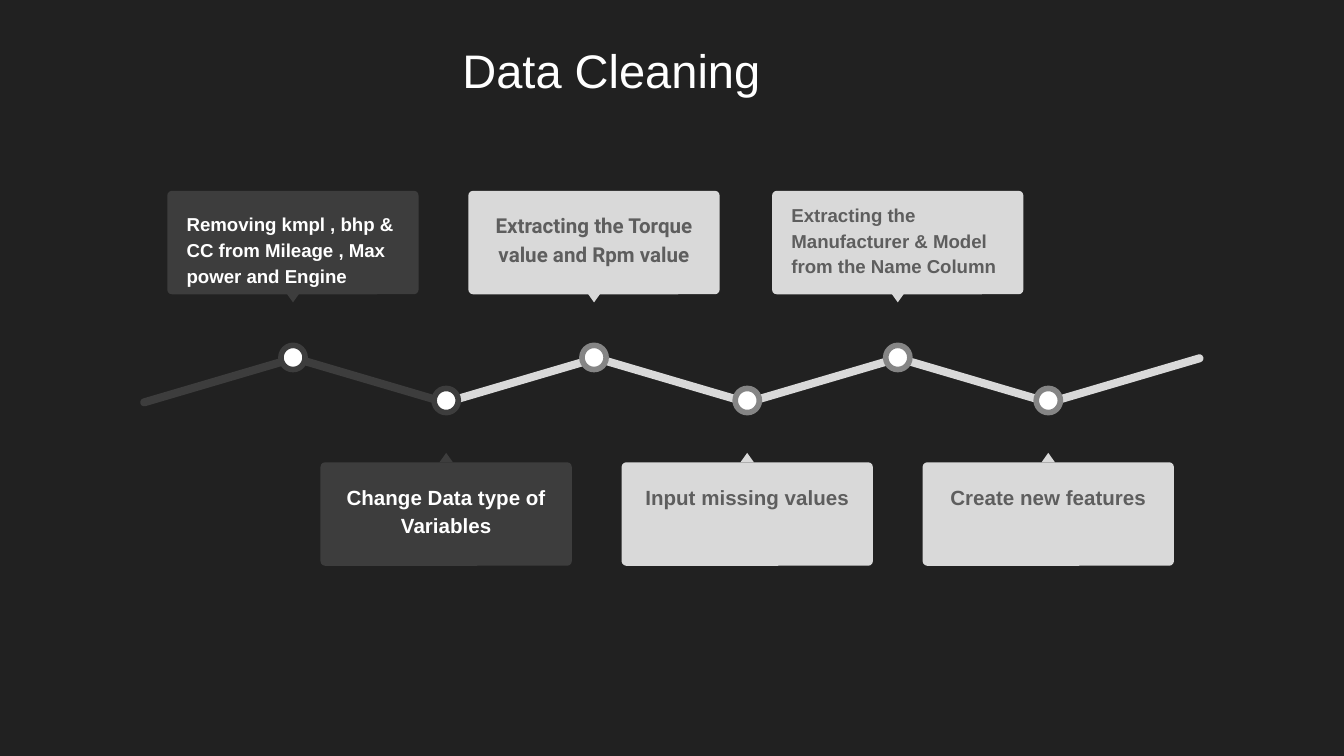
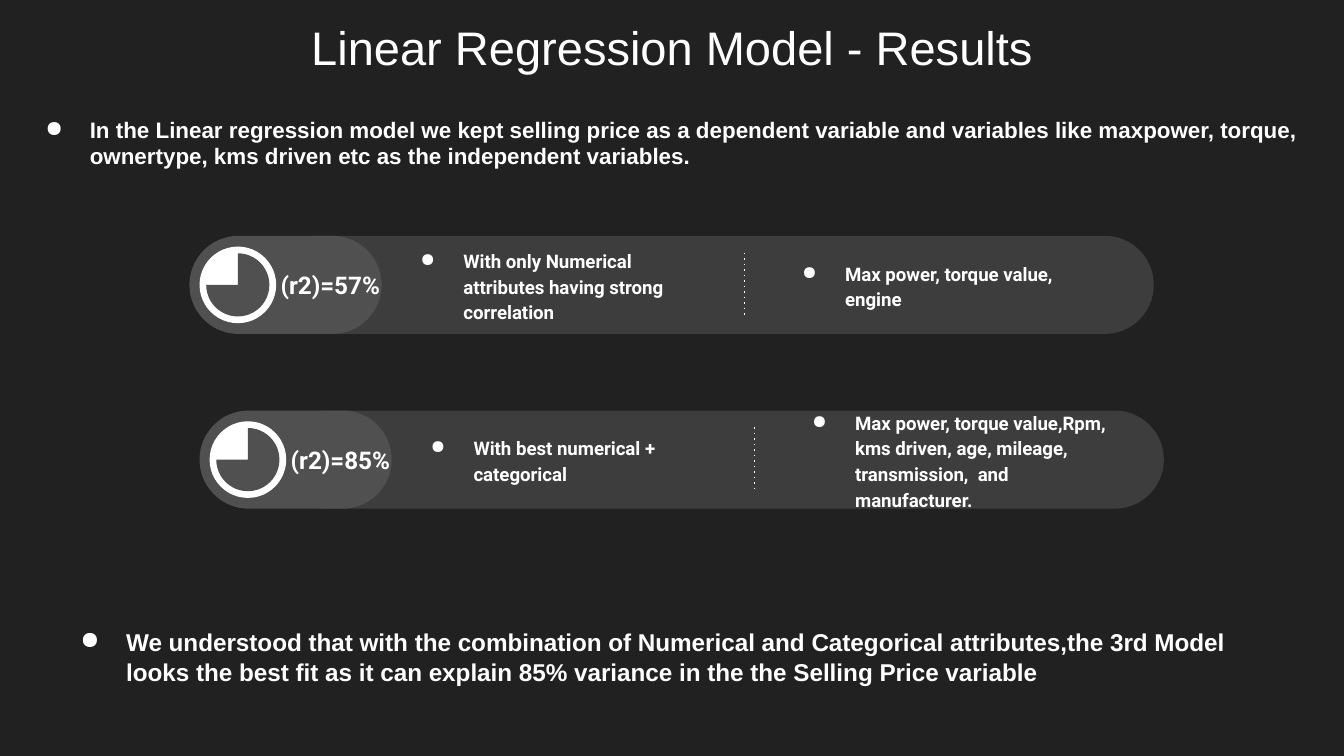
from dataclasses import dataclass
from typing import Optional

import lxml.etree
import pptx
import pptx.dml.color
import pptx.enum.dml
import pptx.enum.shapes
import pptx.enum.text
import pptx.oxml.ns
import pptx.shapes.autoshape
import pptx.shapes.shapetree
import pptx.slide
import pptx.text.text
import pptx.util

SHAPE = pptx.enum.shapes.MSO_SHAPE
ALIGN = pptx.enum.text.PP_ALIGN
ANCHOR = pptx.enum.text.MSO_ANCHOR

# The slide is a grid of square cells, ten to the inch.
COLUMNS, ROWS = 100, 56.25


@dataclass(frozen=True)
class Theme:
    background: str = "212121"
    white: str = "FFFFFF"
    dark: str = "3D3D3D"
    badge: str = "505050"
    light: str = "D9D9D9"
    ring: str = "858585"
    muted: str = "5E5E5E"
    sans: str = "Arial"
    roboto: str = "Roboto"
    title_size: float = 25.2
    score_size: float = 13
    intro_size: float = 12
    card_size: float = 11
    small_size: float = 10


THEME = Theme()


@dataclass(frozen=True)
class Box:
    left: float
    top: float
    width: float
    height: float

    def lengths(self) -> tuple:
        return tuple(cells(n) for n in (self.left, self.top, self.width, self.height))


@dataclass(frozen=True)
class TextStyle:
    size: float
    font: str = THEME.sans
    color: str = THEME.white
    bold: bool = True
    align: pptx.enum.text.PP_ALIGN = ALIGN.LEFT
    anchor: pptx.enum.text.MSO_ANCHOR = ANCHOR.TOP
    spacing: Optional[float] = None
    margin: float = 0
    indent: float = 0
    bullet: bool = False


@dataclass(frozen=True)
class Milestone:
    center: float
    text: str
    upper: bool
    done: bool
    size: float = THEME.card_size
    font: str = THEME.sans
    align: pptx.enum.text.PP_ALIGN = ALIGN.CENTER
    lift: float = 0


@dataclass(frozen=True)
class Result:
    left: float
    axis: float
    score: str
    method: str
    features: str


MILESTONES = [
    Milestone(33.2, "Change Data type of Variables", False, True),
    Milestone(55.6, "Input missing values", False, False),
    Milestone(21.8, "Removing kmpl , bhp & CC from Mileage , Max power and Engine",
              True, True, THEME.small_size, align=ALIGN.LEFT),
    Milestone(44.2, "Extracting the Torque value and Rpm value", True, False,
              font=THEME.roboto),
    Milestone(78, "Create new features", False, False),
    Milestone(66.8, "Extracting the Manufacturer & Model from the Name Column",
              True, False, THEME.small_size, align=ALIGN.LEFT, lift=0.7),
]

RESULTS = [
    Result(14.85, 34.2, "(r2)=85%", "With best numerical + categorical",
           "Max power, torque value,Rpm, kms driven, age, mileage, transmission,  and manufacturer."),
    Result(14.1, 21.2, "(r2)=57%",
           "With only Numerical attributes having strong correlation",
           "Max power, torque value, engine"),
]


def cells(count: float) -> pptx.util.Length:
    return pptx.util.Inches(count / 10)


def rgb(value: str) -> pptx.dml.color.RGBColor:
    return pptx.dml.color.RGBColor.from_string(value)


def write_text(text_frame: pptx.text.text.TextFrame, text: str, style: TextStyle) -> None:
    text_frame.text = text
    text_frame.word_wrap = True
    text_frame.auto_size = pptx.enum.text.MSO_AUTO_SIZE.NONE
    text_frame.vertical_anchor = style.anchor
    text_frame.margin_left = text_frame.margin_right = cells(1)
    text_frame.margin_top = text_frame.margin_bottom = cells(1)
    paragraph = text_frame.paragraphs[0]
    paragraph.alignment = style.align
    if style.spacing:
        paragraph.line_spacing = style.spacing
    font = paragraph.runs[0].font
    font.name, font.size, font.bold = style.font, pptx.util.Pt(style.size), style.bold
    font.color.rgb = rgb(style.color)
    properties = paragraph._p.get_or_add_pPr()
    properties.set("marL", str(cells(style.margin)))
    properties.set("indent", str(cells(style.indent)))
    if style.bullet:
        qualified = pptx.oxml.ns.qn
        color = lxml.etree.SubElement(properties, qualified("a:buClr"))
        lxml.etree.SubElement(color, qualified("a:srgbClr"), val=style.color)
        lxml.etree.SubElement(properties, qualified("a:buChar"), char="●")


def add_text(shapes: pptx.shapes.shapetree._BaseGroupShapes, box: Box, text: str,
             style: TextStyle) -> None:
    write_text(shapes.add_textbox(*box.lengths()).text_frame, text, style)


def add_filled(shapes: pptx.shapes.shapetree._BaseGroupShapes, kind: SHAPE, box: Box,
               color: str, adjustments: tuple = (), rotation: float = 0,
               outline: Optional[str] = None) -> pptx.shapes.autoshape.Shape:
    shape = shapes.add_shape(kind, *box.lengths())
    shape.shadow.inherit = False
    shape.fill.solid()
    shape.fill.fore_color.rgb = rgb(color)
    shape.rotation = rotation
    for index, value in enumerate(adjustments):
        shape.adjustments[index] = value
    if outline:
        shape.line.color.rgb = rgb(outline)
        shape.line.width = pptx.util.Pt(3)
    else:
        shape.line.fill.background()
    return shape


def add_dotted_divider(shapes: pptx.shapes.shapetree._BaseGroupShapes, x: float,
                       top: float, bottom: float) -> None:
    connector = shapes.add_connector(pptx.enum.shapes.MSO_CONNECTOR.STRAIGHT,
                                     cells(x), cells(top), cells(x), cells(bottom))
    connector.line.color.rgb = rgb(THEME.white)
    connector.line.width = pptx.util.Pt(0.75)
    connector.line.dash_style = pptx.enum.dml.MSO_LINE.ROUND_DOT
    properties = connector.element.spPr
    properties.find(".//" + pptx.oxml.ns.qn("a:prstDash")).set("val", "dot")
    lxml.etree.SubElement(properties, pptx.oxml.ns.qn("a:effectLst"))


def add_titled_slide(presentation: pptx.presentation.Presentation, title: str, top: float,
                     style: TextStyle) -> pptx.slide.Slide:
    slide = presentation.slides.add_slide(presentation.slide_layouts[5])
    slide.background.fill.solid()
    slide.background.fill.fore_color.rgb = rgb(THEME.background)
    shape = slide.shapes.title
    shape.left, shape.top, shape.width, shape.height = Box(3.4, top, 93.2, 6.3).lengths()
    write_text(shape.text_frame, title, style)
    return slide


def add_zigzag(slide: pptx.slide.Slide) -> None:
    """Draw seven alternating segments, right to left; the first two are done."""
    for index in reversed(range(7)):
        add_filled(slide.shapes, SHAPE.ROUNDED_RECTANGLE,
                   Box(10.2 + 11.23 * index, 28, 12.2, 0.6),
                   THEME.dark if index < 2 else THEME.light, (0.5,),
                   16.4 if index % 2 else 343.6)


def add_milestone(slide: pptx.slide.Slide, milestone: Milestone) -> None:
    shapes = slide.shapes.add_group_shape().shapes
    center, upper, done = milestone.center, milestone.upper, milestone.done
    card_top = 14.2 if upper else 34.4
    color = THEME.dark if done else THEME.light
    add_filled(shapes, SHAPE.OVAL, Box(center - 0.9, 25.7 if upper else 28.9, 1.8, 1.8),
               THEME.white, outline=THEME.dark if done else THEME.ring)
    add_filled(shapes, SHAPE.ROUNDED_RECTANGLE, Box(center - 9.35, card_top, 18.7, 7.7),
               color, (0.045,))
    add_filled(shapes, SHAPE.ISOSCELES_TRIANGLE,
               Box(center - 0.5, card_top + (7.6 if upper else -0.7), 1, 0.7),
               color, rotation=180 if upper else 0)
    add_text(shapes, Box(center - 8.9, card_top + 0.4 - milestone.lift, 17.8, 6.8),
             milestone.text,
             TextStyle(milestone.size, milestone.font,
                       THEME.white if done else THEME.muted,
                       align=milestone.align, spacing=1.15))


def add_result(slide: pptx.slide.Slide, result: Result) -> None:
    """Draw one result bar, with every part centred on its axis."""
    shapes = slide.shapes.add_group_shape().shapes

    def part(offset: float, width: float, height: float) -> Box:
        return Box(result.left + offset, result.axis - height / 2, width, height)

    details = TextStyle(THEME.small_size, THEME.roboto, anchor=ANCHOR.MIDDLE,
                        spacing=1.15, margin=5, indent=-3.2, bullet=True)
    score = TextStyle(THEME.score_size, THEME.roboto, anchor=ANCHOR.MIDDLE)
    add_filled(shapes, SHAPE.ROUNDED_RECTANGLE, part(5.75, 66, 7.3), THEME.dark, (0.5,))
    add_text(shapes, part(42.8, 25.6, 7.2), result.features, details)
    add_text(shapes, part(14.4, 25.6, 7.2), result.method, details)
    add_filled(shapes, SHAPE.ROUNDED_RECTANGLE, part(0, 14.3, 7.3), THEME.badge, (0.5,))
    add_filled(shapes, SHAPE.OVAL, part(0.75, 5.7, 5.7), THEME.white)
    # Pie angles are in units of 100000/60000 of a degree: from 270 round to 180.
    add_filled(shapes, SHAPE.PIE, part(1.25, 4.7, 4.7), THEME.badge, (162, 108))
    add_text(shapes, part(5.8, 10.3, 4.3), result.score, score)
    add_dotted_divider(shapes, result.left + 41.3, result.axis - 2.4, result.axis + 2.4)


def build_cleaning_slide(presentation: pptx.presentation.Presentation) -> None:
    slide = add_titled_slide(presentation, "Data Cleaning", 2.1,
                             TextStyle(THEME.title_size, bold=False, margin=25, indent=5))
    add_zigzag(slide)
    for milestone in MILESTONES:
        add_milestone(slide, milestone)


def build_results_slide(presentation: pptx.presentation.Presentation) -> None:
    slide = add_titled_slide(presentation, "Linear Regression Model - Results", 0.4,
                             TextStyle(THEME.title_size, bold=False, align=ALIGN.CENTER))
    add_text(slide.shapes, Box(0.7, 7.8, 97.3, 5.1),
             "In the Linear regression model we kept selling price as a dependent variable "
             "and variables like maxpower, torque, ownertype, kms driven etc as the "
             "independent variables.",
             TextStyle(THEME.intro_size, spacing=0.95, margin=5, indent=-3.3, bullet=True))
    for result in RESULTS:
        add_result(slide, result)
    add_text(slide.shapes, Box(3.4, 45.7, 90.8, 6.5),
             "We understood that with the combination of Numerical and Categorical "
             "attributes,the 3rd Model looks the best fit as it can explain 85% variance "
             "in the the Selling Price variable",
             TextStyle(THEME.score_size, margin=5, indent=-3.4, bullet=True))


def main() -> None:
    presentation = pptx.Presentation()
    presentation.slide_width, presentation.slide_height = cells(COLUMNS), cells(ROWS)
    build_cleaning_slide(presentation)
    build_results_slide(presentation)
    presentation.save("out.pptx")


if __name__ == "__main__":
    main()
